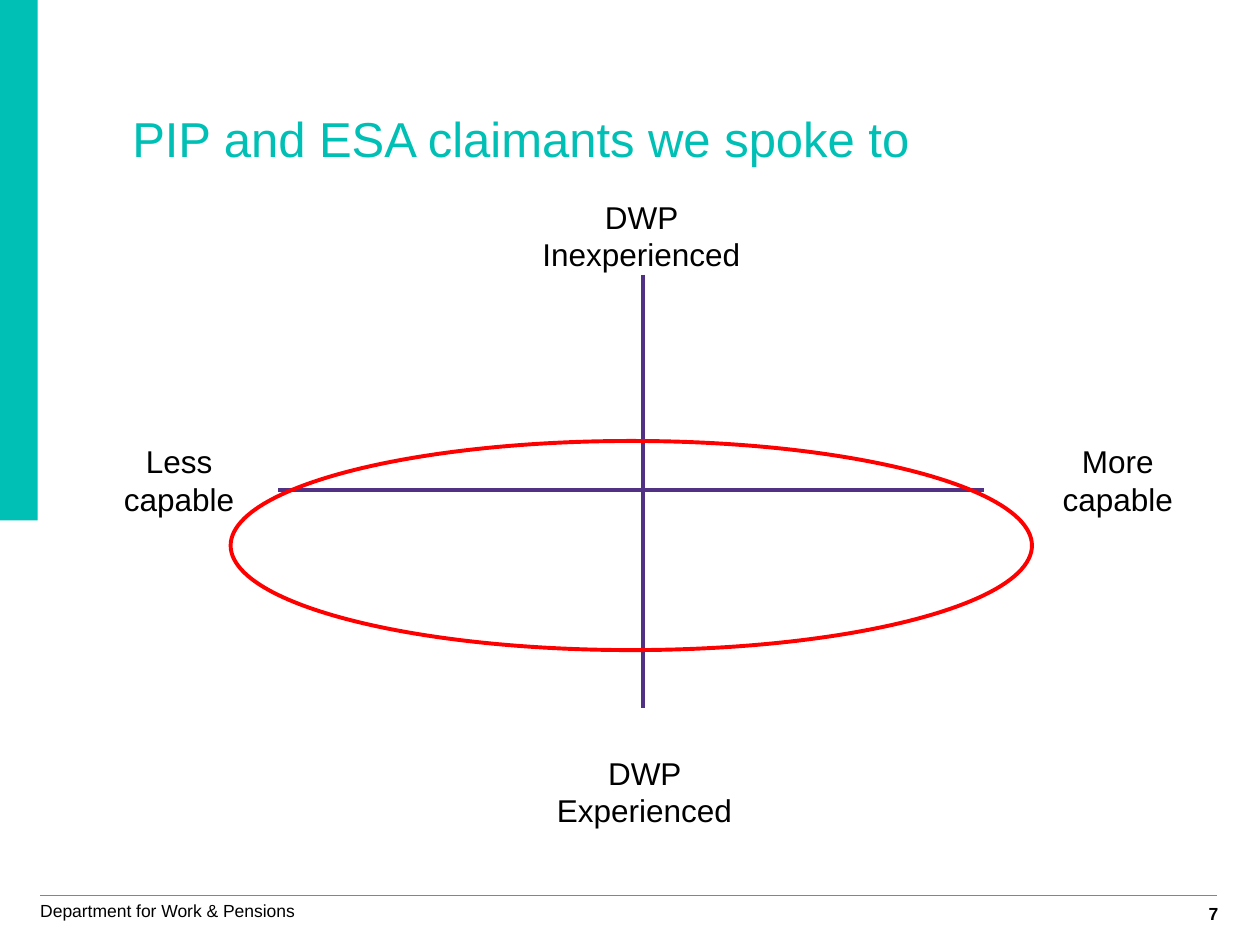
"""Build the slide that maps PIP and ESA claimants by capability and experience."""
from lxml import etree
from pptx import Presentation
from pptx import util as u
from pptx.dml import color
from pptx.enum import shapes, text
from pptx.oxml import ns

TEAL, PURPLE, RED, BLACK = "00C0B5", "513184", "FF0000", "000000"
TITLE = ("PIP and ESA claimants we spoke to", (68.4, 58.3, 542.2, 61.2))
EXPERIENCED = ("DWP Experienced", (301, 427, 134.6, 62.6))
AXIS_ENDS = [
    ("Less capable", (45.4, 249.1, 113.8, 62.6)),
    ("DWP Inexperienced", (301, 109.4, 131, 62.6)),
    ("More capable", (581.8, 249.1, 113.8, 62.6)),
]
FOOTER = ("Department for Work & Pensions", (23, 514.1, 145.4, 12.2))
PAGE = ("7", (655.9, 514.8, 40.3, 11.5))
SIDEBAR = (0, 0, 21.6, 297.4)
CLAIMANTS = (131.8, 252, 457.9, 119.5)
RULE = (23, 511.9, 695.5, 511.9)
AXES = [(367.2, 157, 367.2, 404.6), (159.1, 280.1, 562.3, 280.1)]


def rgb(value):
    return color.RGBColor.from_string(value)


def points(values):
    return [u.Pt(value) for value in values]


def write(words, box, holder=None, size=18, ink=BLACK, bold=False,
          align=text.PP_ALIGN.CENTER, inset=(7.2, 3.6), wrap=True, spacing=1.0):
    if holder is None:
        holder = slide.shapes.add_textbox(*points(box))
    holder.left, holder.top, holder.width, holder.height = points(box)
    frame = holder.text_frame
    frame.text = words
    frame.word_wrap = wrap
    frame.auto_size = text.MSO_AUTO_SIZE.NONE
    frame.vertical_anchor = text.MSO_ANCHOR.TOP
    frame.margin_left = frame.margin_right = u.Pt(inset[0])
    frame.margin_top = frame.margin_bottom = u.Pt(inset[1])
    paragraph = frame.paragraphs[0]
    paragraph.alignment = align
    paragraph.line_spacing = spacing
    paragraph.space_before = u.Pt(0)
    font = paragraph.runs[0].font
    font.name, font.size, font.bold = "Arial", u.Pt(size), bold
    font.color.rgb = rgb(ink)


def draw_line(ends, ink, width):
    line = slide.shapes.add_connector(shapes.MSO_CONNECTOR.STRAIGHT, *points(ends))
    line.line.color.rgb = rgb(ink)
    line.line.width = u.Pt(width)
    etree.SubElement(line._element.spPr, ns.qn("a:effectLst"))


def draw_shape(kind, box, fill=None, ink=None):
    shape = slide.shapes.add_shape(kind, *points(box))
    shape.shadow.inherit = False
    if fill:
        shape.fill.solid()
        shape.fill.fore_color.rgb = rgb(fill)
    else:
        shape.fill.background()
    if ink:
        shape.line.color.rgb = rgb(ink)
        shape.line.width = u.Pt(2.25)
    else:
        shape.line.fill.background()


deck = Presentation()
deck.slide_width, deck.slide_height = points((720, 540))
slide = deck.slides.add_slide(deck.slide_layouts[0])

draw_shape(shapes.MSO_SHAPE.RECTANGLE, SIDEBAR, fill=TEAL)
draw_line(RULE, TEAL, 0.75)
write(*PAGE, size=10, bold=True, align=text.PP_ALIGN.RIGHT, inset=(0, 0), spacing=1.1)
write(*FOOTER, size=10, align=text.PP_ALIGN.LEFT, inset=(0, 0), wrap=False)
write(*TITLE, holder=slide.shapes.title, size=28, ink=TEAL, align=text.PP_ALIGN.LEFT)
write(*EXPERIENCED, holder=slide.placeholders[1])
for words, box in AXIS_ENDS:
    write(words, box)
for ends in AXES:
    draw_line(ends, PURPLE, 2.25)
draw_shape(shapes.MSO_SHAPE.OVAL, CLAIMANTS, ink=RED)

deck.save("out.pptx")
